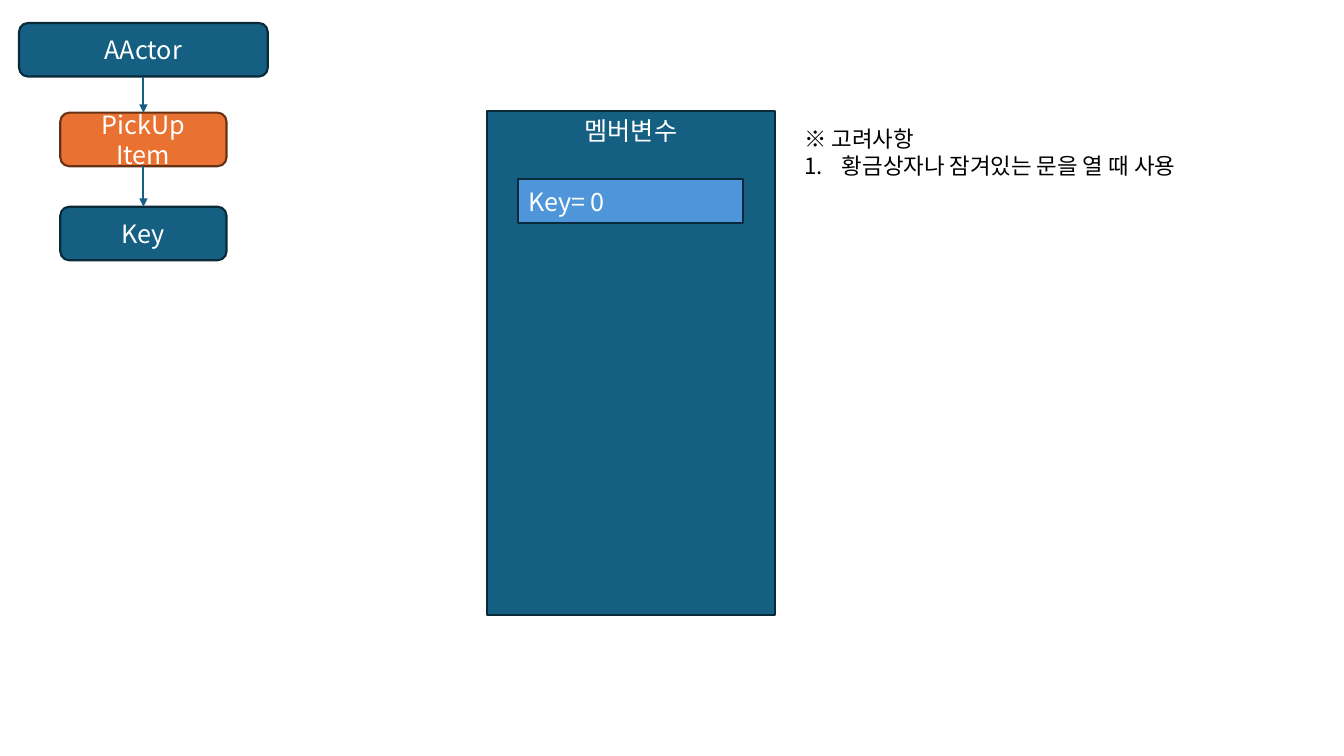
"""Builds the Key item slide: class hierarchy, member variables and notes."""
from lxml.etree import SubElement
from pptx import Presentation
from pptx.dml.color import RGBColor
from pptx.enum.shapes import MSO_CONNECTOR, MSO_SHAPE
from pptx.enum.text import MSO_ANCHOR, MSO_AUTO_SIZE, PP_ALIGN
from pptx.oxml.ns import qn
from pptx.util import Cm, Pt

FONT = "Noto Sans CJK KR"
COLORS = {
    "teal": "156082",
    "teal_edge": "092A39",
    "orange": "E97132",
    "orange_edge": "663216",
    "blue": "4E95D9",
    "white": "FFFFFF",
    "black": "000000",
}


def rgb(name):
    """Return the named colour."""
    return RGBColor.from_string(COLORS[name])


def format_text(frame, size, color, align):
    """Format every paragraph and run of a text frame."""
    for paragraph in frame.paragraphs:
        paragraph.alignment = align
        for run in paragraph.runs:
            run.font.size = Pt(size)
            run.font.name = FONT
            run.font.color.rgb = rgb(color)
            SubElement(run.font._element, qn("a:ea"), typeface=FONT)


def add_box(slide, kind, text, bounds, fill="teal", edge="teal_edge",
            align=PP_ALIGN.CENTER, anchor=MSO_ANCHOR.MIDDLE):
    """Add a filled, outlined box with white text."""
    box = slide.shapes.add_shape(kind, *map(Cm, bounds))
    box.shadow.inherit = False
    box.fill.solid()
    box.fill.fore_color.rgb = rgb(fill)
    box.line.color.rgb = rgb(edge)
    box.line.width = Pt(1.5)
    box.text_frame.text = text
    box.text_frame.vertical_anchor = anchor
    format_text(box.text_frame, 18, "white", align)
    return box


def add_arrow(slide, parent, child):
    """Connect the bottom of a parent class to the top of its child."""
    arrow = slide.shapes.add_connector(MSO_CONNECTOR.STRAIGHT, 0, 0, 0, 0)
    arrow.begin_connect(parent, 2)
    arrow.end_connect(child, 0)
    arrow.line.color.rgb = rgb("teal")
    arrow.line.width = Pt(1.5)
    SubElement(arrow.line._get_or_add_ln(), qn("a:tailEnd"), type="triangle")
    SubElement(arrow._element.spPr, qn("a:effectLst"))


def add_hierarchy(slide):
    """Add the class boxes from base class to item, with arrows."""
    rounded = MSO_SHAPE.ROUNDED_RECTANGLE
    actor = add_box(slide, rounded, "AActor", (0.48, 0.58, 6.27, 1.35))
    pickup = add_box(slide, rounded, "PickUp Item", (1.52, 2.84, 4.19, 1.35),
                     "orange", "orange_edge")
    key = add_box(slide, rounded, "Key", (1.52, 5.21, 4.19, 1.35))
    add_arrow(slide, actor, pickup)
    add_arrow(slide, pickup, key)


def add_members(slide):
    """Add the member variable panel and its entry."""
    add_box(slide, MSO_SHAPE.RECTANGLE, "멤버변수", (12.27, 2.79, 7.26, 12.7),
            anchor=MSO_ANCHOR.TOP)
    add_box(slide, MSO_SHAPE.RECTANGLE, "Key= 0", (13.06, 4.52, 5.66, 1.09),
            "blue", align=PP_ALIGN.LEFT)


def add_considerations(slide, heading, items):
    """Add a heading followed by a numbered list."""
    notes = slide.shapes.add_textbox(Cm(20.02), Cm(3.02), Cm(11.02), Cm(1.63))
    frame = notes.text_frame
    frame.word_wrap = False
    frame.auto_size = MSO_AUTO_SIZE.SHAPE_TO_FIT_TEXT
    frame.text = "\n".join([heading, *items])
    for paragraph in frame.paragraphs[1:]:
        properties = paragraph._p.get_or_add_pPr()
        properties.set("marL", str(Cm(0.95)))
        properties.set("indent", str(-Cm(0.95)))
        SubElement(properties, qn("a:buFont"), typeface="+mj-lt")
        SubElement(properties, qn("a:buAutoNum"), type="arabicPeriod")
    format_text(frame, 16, "black", PP_ALIGN.LEFT)


def main():
    """Build and save the slide."""
    deck = Presentation()
    deck.slide_width, deck.slide_height = Cm(33.87), Cm(19.05)
    slide = deck.slides.add_slide(deck.slide_layouts[6])
    add_hierarchy(slide)
    add_members(slide)
    add_considerations(slide, "※ 고려사항", ["황금상자나 잠겨있는 문을 열 때 사용"])
    deck.save("out.pptx")


if __name__ == "__main__":
    main()
